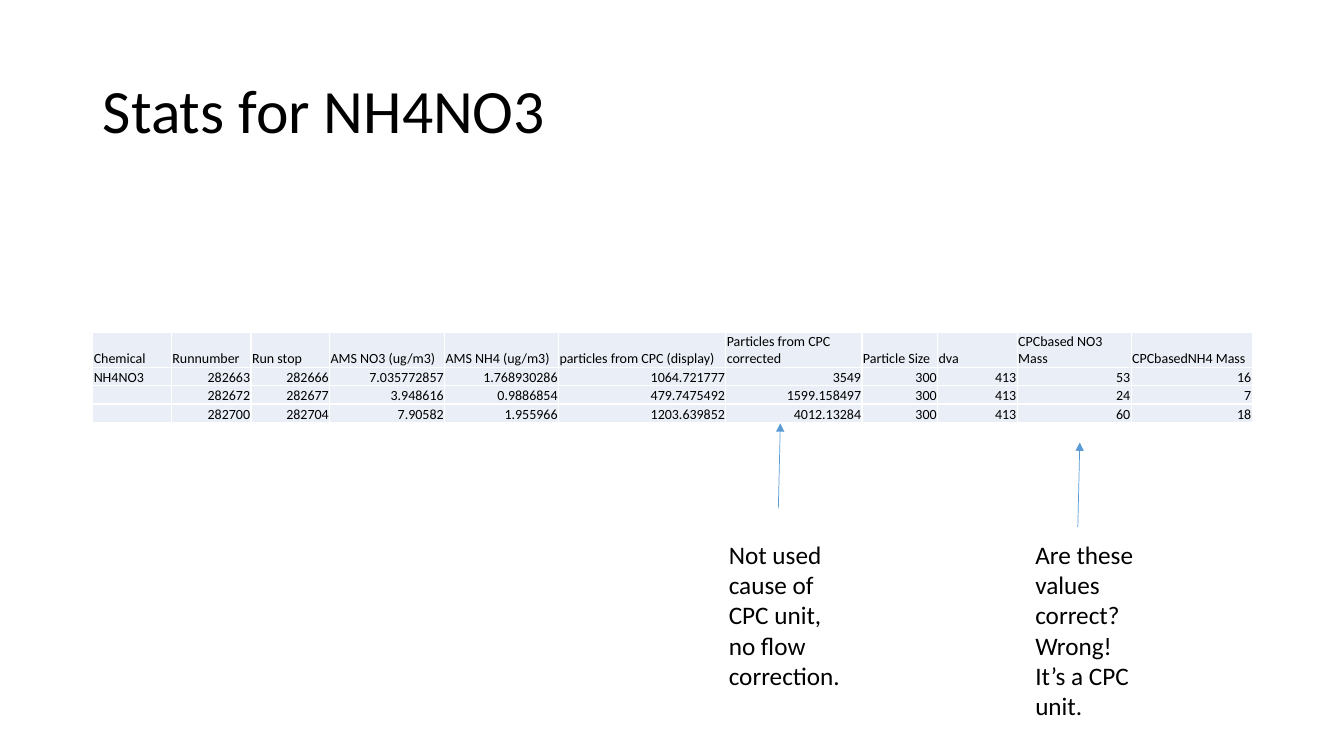
from lxml.etree import SubElement
from pptx import Presentation
from pptx.dml.color import RGBColor
from pptx.enum.shapes import MSO_CONNECTOR
from pptx.enum.text import MSO_ANCHOR, MSO_AUTO_SIZE, PP_ALIGN
from pptx.oxml.ns import qn
from pptx.util import Pt

PX = 9144  # 100 px to the inch
TITLE_ONLY = 5

COLUMN_WIDTHS = [78, 79, 78, 114, 113, 166, 135, 75, 79, 113, 120]
ROW_HEIGHTS = [34, 18, 18, 19]
STATS = [
    ["Chemical", "Runnumber", "Run stop", "AMS NO3 (ug/m3)", "AMS NH4 (ug/m3)",
     "particles from CPC (display)", "Particles from CPC corrected",
     "Particle Size", "dva", "CPCbased NO3 Mass", "CPCbasedNH4 Mass"],
    ["NH4NO3", "282663", "282666", "7.035772857", "1.768930286", "1064.721777",
     "3549", "300", "413", "53", "16"],
    ["", "282672", "282677", "3.948616", "0.9886854", "479.7475492",
     "1599.158497", "300", "413", "24", "7"],
    ["", "282700", "282704", "7.90582", "1.955966", "1203.639852",
     "4012.13284", "300", "413", "60", "18"],
]
NOTES = [
    ((1017, 530, 124, 192), ["Are these values correct?", "Wrong! It’s a CPC unit."],
     (1069, 523, 1071, 439)),
    ((713, 530, 138, 192), ["Not used cause of CPC unit, no flow correction."],
     (772, 504, 774, 420)),
]


def px(*lengths):
    return [length * PX for length in lengths]


def color(hex_string):
    return RGBColor.from_string(hex_string)


def write(para, text, size, align=PP_ALIGN.LEFT, ink="000000"):
    para.alignment = align
    if not text:
        SubElement(para._p, qn("a:endParaRPr"), sz=str(size * 100))
        return
    span = para.add_run()
    span.text = text
    span.font.size = Pt(size)
    span.font.name = "Calibri"
    span.font.color.rgb = color(ink)


def draw_title(slide, box, text):
    title = slide.shapes.title
    title.left, title.top, title.width, title.height = px(*box)
    frame = title.text_frame
    frame.auto_size = MSO_AUTO_SIZE.NONE
    frame.vertical_anchor = MSO_ANCHOR.MIDDLE
    frame.paragraphs[0].line_spacing = 0.9
    write(frame.paragraphs[0], text, 44)


def border_cell(cell, hex_string):
    properties = cell._tc.get_or_add_tcPr()
    for side in ("a:lnL", "a:lnR", "a:lnT", "a:lnB"):
        line = SubElement(properties, qn(side), w=str(Pt(1)))
        fill = SubElement(line, qn("a:solidFill"))
        SubElement(fill, qn("a:srgbClr"), val=hex_string)


def draw_stats(slide, left, top):
    box = px(left, top, sum(COLUMN_WIDTHS), sum(ROW_HEIGHTS))
    table = slide.shapes.add_table(len(STATS), len(COLUMN_WIDTHS), *box).table
    table.first_row = table.horz_banding = False
    for column, width in zip(table.columns, px(*COLUMN_WIDTHS)):
        column.width = width
    for row, height, values in zip(table.rows, px(*ROW_HEIGHTS), STATS):
        row.height = height
        for cell, value in zip(row.cells, values):
            cell.margin_left, cell.margin_right, cell.margin_top, cell.margin_bottom = px(1, 1, 1, 0)
            cell.vertical_anchor = MSO_ANCHOR.BOTTOM
            border_cell(cell, "FFFFFF")
            cell.fill.solid()
            cell.fill.fore_color.rgb = color("EAEFF7")
            is_number = value[:1].isdigit()
            write(cell.text_frame.paragraphs[0], value, 10,
                  align=PP_ALIGN.RIGHT if is_number else PP_ALIGN.LEFT)


def draw_arrow(slide, ends):
    arrow = slide.shapes.add_connector(MSO_CONNECTOR.STRAIGHT, *px(*ends))
    arrow.line.color.rgb = color("5B9BD5")
    arrow.line.width = Pt(0.5)
    SubElement(arrow.line._get_or_add_ln(), qn("a:tailEnd"), type="triangle")
    SubElement(arrow._element.spPr, qn("a:effectLst"))


def draw_note(slide, box, texts, arrow_ends):
    """Place a remark and the arrow from it up to its table column."""
    draw_arrow(slide, arrow_ends)
    frame = slide.shapes.add_textbox(*px(*box)).text_frame
    frame.word_wrap = True
    frame.auto_size = MSO_AUTO_SIZE.SHAPE_TO_FIT_TEXT
    for index, text in enumerate(texts):
        para = frame.add_paragraph() if index else frame.paragraphs[0]
        write(para, text, 18)


def main():
    deck = Presentation()
    deck.slide_width, deck.slide_height = px(1333, 750)
    slide = deck.slides.add_slide(deck.slide_layouts[TITLE_ONLY])
    draw_title(slide, (92, 40, 1150, 145), "Stats for NH4NO3")
    draw_stats(slide, 92, 330)
    for box, texts, arrow_ends in NOTES:
        draw_note(slide, box, texts, arrow_ends)
    deck.save("out.pptx")


if __name__ == "__main__":
    main()
